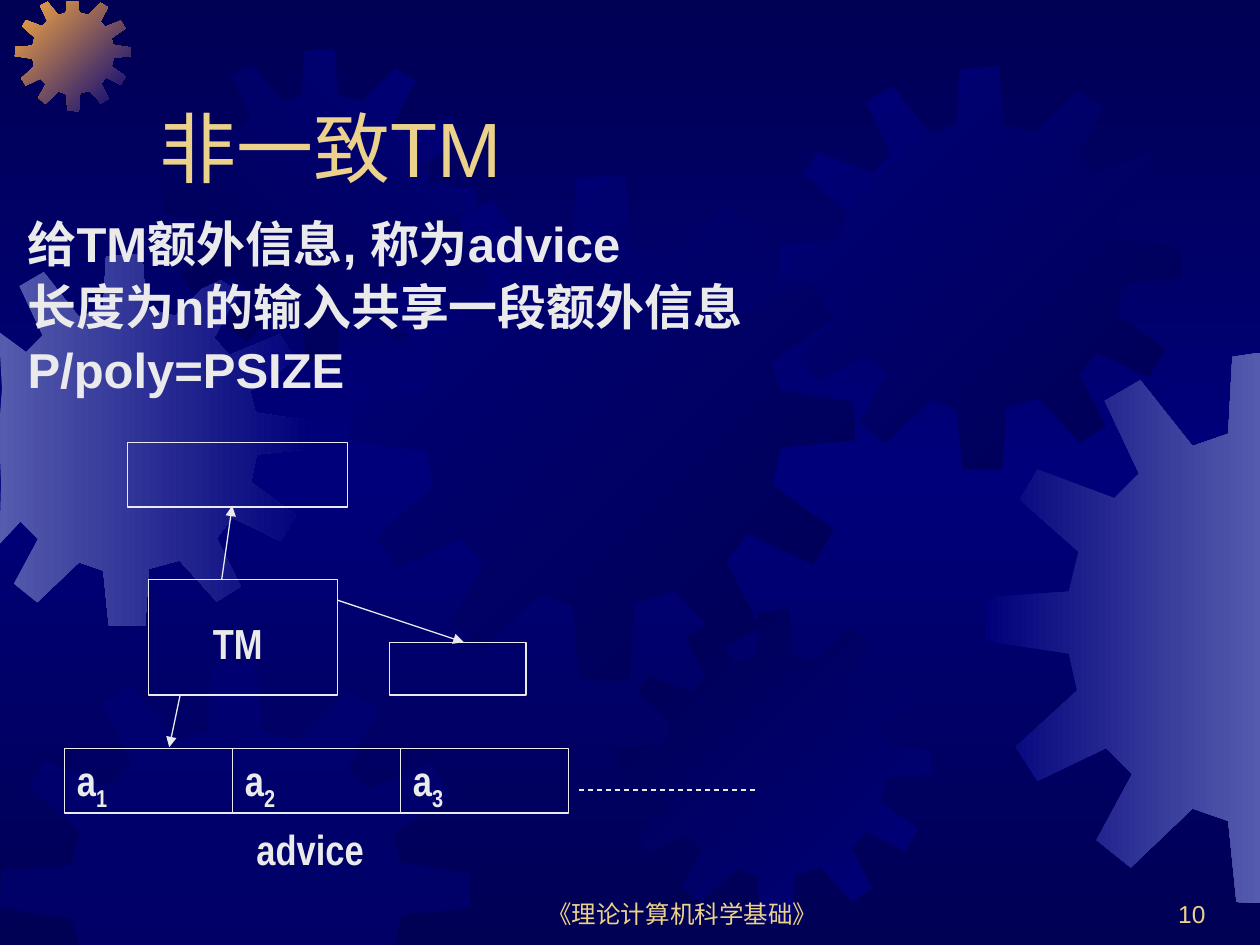
from copy import deepcopy
from dataclasses import dataclass

from lxml import etree
from pptx import Presentation
from pptx.dml.color import RGBColor
from pptx.enum import dml, shapes, text
from pptx.oxml import ns
from pptx.util import Pt

WIDTH, HEIGHT = 720, 540


@dataclass(frozen=True)
class Theme:
    night: str = "000054"
    blue: str = "00007A"
    violet: str = "555BAD"
    orange: str = "FCAB40"
    gold: str = "EBD189"
    light: str = "EAEAEA"
    font: str = "Arial"
    narrow: str = "Arial Narrow"
    title: int = 44
    body: int = 28
    label: int = 24
    footer: int = 14
    line: float = 0.75


THEME = Theme()

# One twelve-toothed gear on a 401 x 401 grid; every gear is a scaled version.
GEAR_SIZE = 401
GEAR = [
    (255, 67), (223, 59), (219, 0), (180, 3), (177, 59), (151, 68),
    (113, 20), (87, 35), (112, 88), (94, 106), (38, 85), (25, 107),
    (68, 145), (61, 174), (1, 178), (0, 210), (61, 219), (67, 246),
    (22, 287), (38, 312), (88, 288), (107, 307), (81, 355), (106, 375),
    (151, 332), (177, 341), (183, 400), (222, 401), (226, 339), (259, 330),
    (299, 374), (325, 358), (299, 306), (316, 284), (368, 309), (384, 281),
    (336, 246), (342, 216), (401, 210), (400, 180), (341, 171), (335, 148),
    (383, 114), (367, 87), (313, 109), (296, 91), (323, 41), (297, 25),
]


def color(value):
    return RGBColor.from_string(value)


def box(left, top, width, height):
    return Pt(left), Pt(top), Pt(width), Pt(height)


def write(frame, *lines, size=THEME.label, font=THEME.narrow, ink=THEME.light,
          bold=False, align=text.PP_ALIGN.LEFT, anchor=text.MSO_ANCHOR.TOP,
          spacing=None, before=0):
    """Fill a text frame; what follows an underscore in a line is subscript."""
    frame.word_wrap = True
    frame.auto_size = text.MSO_AUTO_SIZE.NONE
    frame.vertical_anchor = anchor
    for index, line in enumerate(lines):
        paragraph = frame.add_paragraph() if index else frame.paragraphs[0]
        paragraph.alignment = align
        paragraph.line_spacing = spacing
        paragraph.space_before = Pt(before)
        for level, part in enumerate(line.split("_")):
            run = paragraph.add_run()
            run.text = part
            run.font.name, run.font.size, run.font.bold = font, Pt(size), bold
            run.font.color.rgb = color(ink)
            if level:
                run._r.get_or_add_rPr().set("baseline", "-25000")


def fill_gradient(fill, start, end, angle):
    """Blend two colours along a clockwise angle in degrees."""
    fill.gradient()
    fill.gradient_angle = (360 - angle) % 360
    for stop, value in zip(fill.gradient_stops, (start, end)):
        stop.color.rgb = color(value)


def paint_background(slide):
    fill_gradient(slide.background.fill, THEME.night, THEME.blue, 90)
    stops = slide.element.find(".//" + ns.qn("a:gsLst"))
    last = deepcopy(stops[0])
    stops[1].set("pos", "50000")
    last.set("pos", "100000")
    stops.append(last)


def add_gear(slide, left, top, size, start, end=None, angle=45):
    """Draw a gear kept within the slide; without an end colour it is half clear."""
    scale = size / GEAR_SIZE
    points = [(Pt(min(max(left + x * scale, 0), WIDTH)),
               Pt(min(max(top + y * scale, 1), HEIGHT))) for x, y in GEAR]
    builder = slide.shapes.build_freeform(*points[0])
    builder.add_line_segments(points[1:], close=True)
    gear = builder.convert_to_shape()
    gear.shadow.inherit = False
    gear.line.fill.background()
    if end:
        fill_gradient(gear.fill, start, end, angle)
    else:
        gear.fill.solid()
        gear.fill.fore_color.rgb = color(start)
        tint = gear._element.spPr.find(".//" + ns.qn("a:srgbClr"))
        etree.SubElement(tint, ns.qn("a:alpha"), val="50000")


def add_placeholder_text(slide, index, bounds, *lines, **style):
    """Move a placeholder to the front, place it and fill it without bullets."""
    shape = slide.placeholders[index]
    slide.shapes._spTree.append(shape._element)
    shape.left, shape.top, shape.width, shape.height = box(*bounds)
    write(shape.text_frame, *lines, font=THEME.font, **style)
    for paragraph in shape.text_frame.paragraphs:
        properties = paragraph._p.get_or_add_pPr()
        properties.set("marL", "0")
        properties.set("indent", "0")
        etree.SubElement(properties, ns.qn("a:buNone"))


def add_label(slide, bounds, *lines, **style):
    write(slide.shapes.add_textbox(*box(*bounds)).text_frame, *lines, **style)


def add_frame(slide, bounds, label=None):
    shape = slide.shapes.add_shape(shapes.MSO_SHAPE.RECTANGLE, *box(*bounds))
    shape.shadow.inherit = False
    shape.fill.background()
    shape.line.color.rgb = color(THEME.light)
    shape.line.width = Pt(THEME.line)
    if label:
        write(shape.text_frame, label, bold=True)


def add_line(slide, x1, y1, x2, y2, dashed=False):
    """Draw an arrow, or a plain dashed line."""
    line = slide.shapes.add_connector(
        shapes.MSO_CONNECTOR.STRAIGHT, Pt(x1), Pt(y1), Pt(x2), Pt(y2))
    line.line.color.rgb = color(THEME.light)
    line.line.width = Pt(THEME.line)
    if dashed:
        line.line.dash_style = dml.MSO_LINE.DASH
    else:
        etree.SubElement(line.line._get_or_add_ln(), ns.qn("a:tailEnd"), type="triangle")
    etree.SubElement(line._element.spPr, ns.qn("a:effectLst"))


def add_gears(slide):
    night, blue, violet = THEME.night, THEME.blue, THEME.violet
    add_gear(slide, -35, 145, 213, violet, blue, angle=0)
    add_gear(slide, 8.6, -2.5, 66, THEME.orange, blue)
    add_gear(slide, 93.6, 28, 178.6, night, blue, angle=315)
    add_gear(slide, 199.5, 100, 289, blue, night)
    add_gear(slide, 0, 378, 269, blue)
    add_gear(slide, 353.5, 348.5, 178.6, night, blue)
    add_gear(slide, 445, 38, 230.4, blue, night)
    add_gear(slide, 563, 201.6, 314.6, blue, violet, angle=0)


def add_machine(slide):
    add_frame(slide, (85, 331.2, 108, 66))
    add_label(slide, (114.5, 349.2, 54, 36), "TM", bold=True)
    add_frame(slide, (72.7, 252.7, 126, 37))
    add_frame(slide, (222.7, 367.2, 78, 30))
    add_line(slide, 126.7, 331.2, 132.7, 289)
    add_line(slide, 103, 397, 96.7, 427)
    add_line(slide, 193, 343, 265, 367)

    cell_width = 96
    for column in range(3):
        add_frame(slide, (36.9 + column * cell_width, 427.6, cell_width, 37), f"a_{column + 1}")
    add_line(slide, 330.7, 451.4, 432.7, 451.4, dashed=True)
    add_label(slide, (139.5, 466.8, 78, 36), "advice", bold=True)


def main():
    presentation = Presentation()
    presentation.slide_width, presentation.slide_height = Pt(WIDTH), Pt(HEIGHT)
    slide = presentation.slides.add_slide(presentation.slide_layouts[1])
    paint_background(slide)
    add_gears(slide)

    footer = dict(size=THEME.footer, font=THEME.font, ink=THEME.gold,
                  anchor=text.MSO_ANCHOR.BOTTOM)
    add_label(slide, (276, 498, 228, 36), "《理论计算机科学基础》",
              align=text.PP_ALIGN.CENTER, **footer)
    add_label(slide, (546, 498, 150, 36), "10", align=text.PP_ALIGN.RIGHT, **footer)

    add_placeholder_text(slide, 0, (84, 24, 612, 90), "非一致TM", size=THEME.title,
                         ink=THEME.gold, anchor=text.MSO_ANCHOR.BOTTOM)
    add_placeholder_text(slide, 1, (8.6, 122.4, 612, 126), "给TM额外信息, 称为advice",
                         "长度为n的输入共享一段额外信息", "P/poly=PSIZE",
                         size=THEME.body, bold=True, spacing=0.9, before=5.6)
    add_machine(slide)
    presentation.save("out.pptx")


if __name__ == "__main__":
    main()
